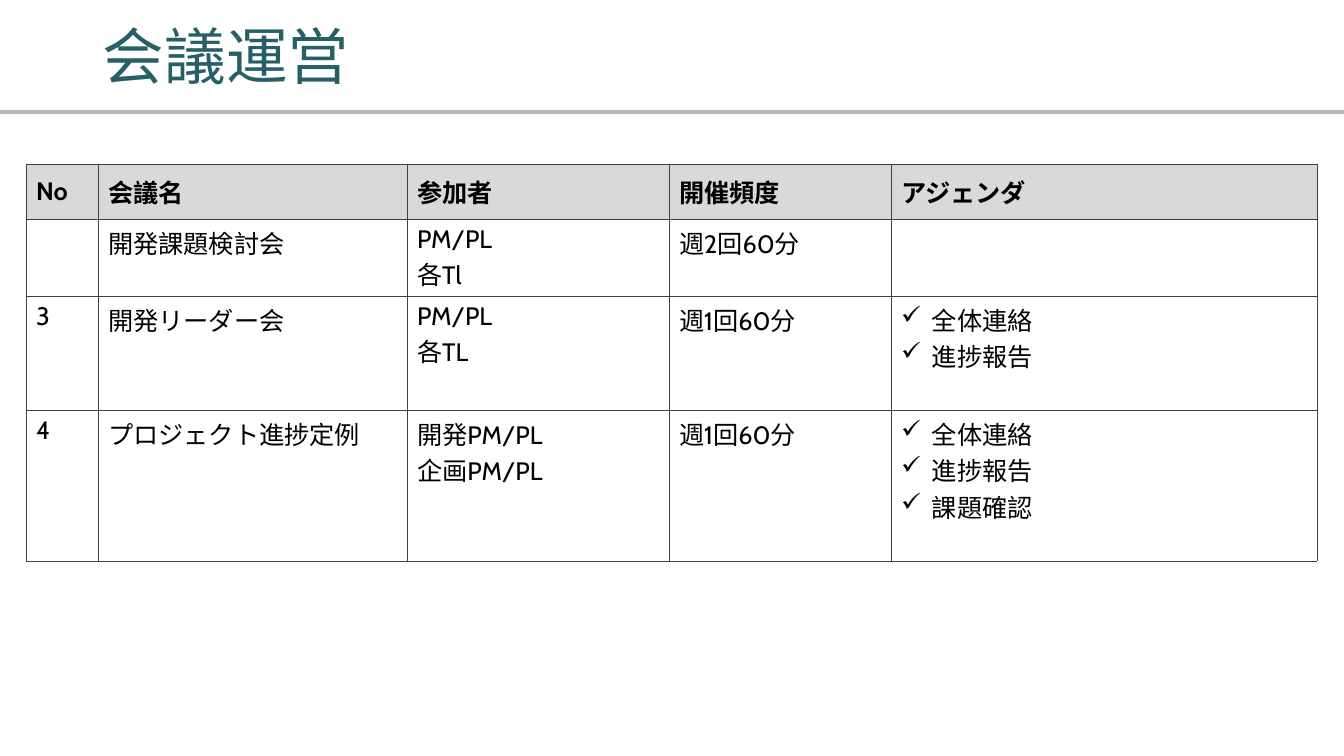
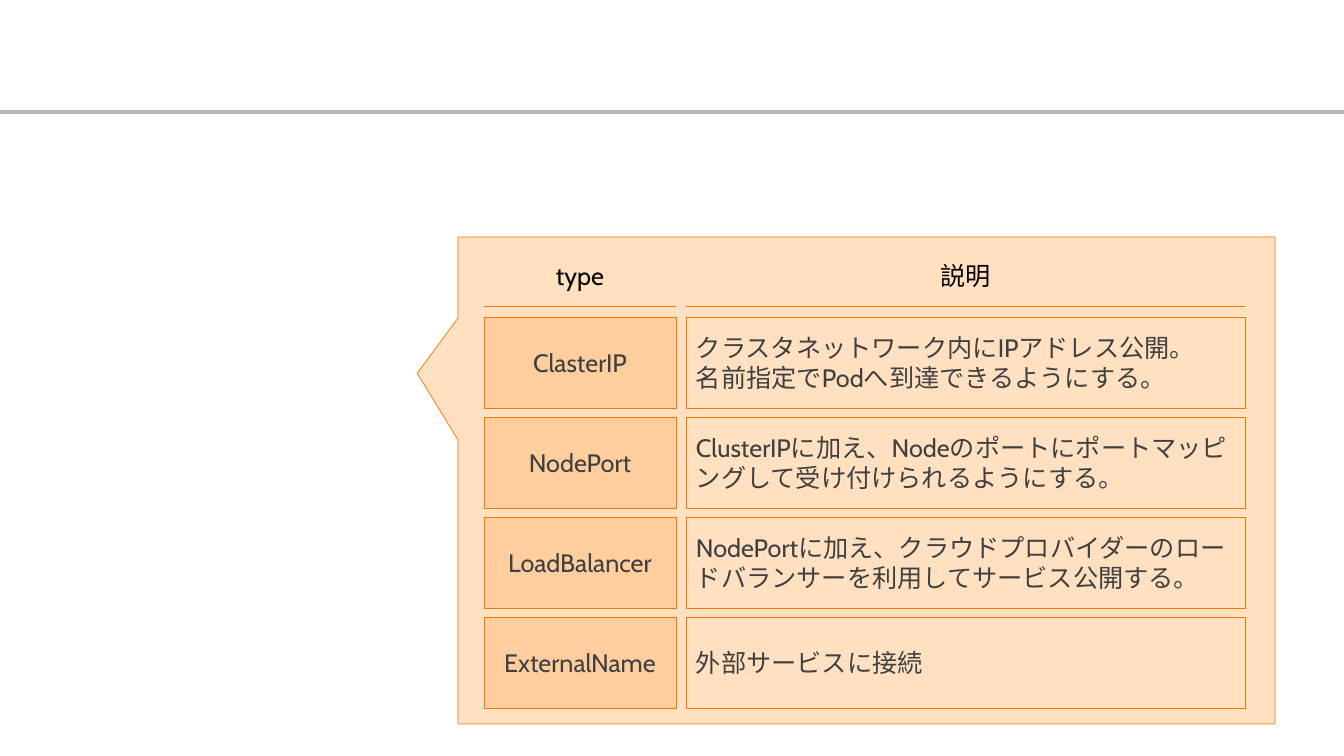
from lxml.etree import SubElement
from pptx import Presentation
from pptx.dml.color import RGBColor
from pptx.enum.shapes import MSO_CONNECTOR as Connector, MSO_SHAPE as Shape
from pptx.enum.text import MSO_ANCHOR as Anchor, PP_ALIGN as Align
from pptx.oxml.ns import qn
from pptx.util import Pt

PX = 9144000 / 1008  # EMU in one px, at 100.8 px to the inch
FONT = "Cabin"
COLORS = {
    "band": "AFBABB",
    "title": "266066",
    "black": "000000",
    "gray": "404040",
    "header": "D9D9D9",
    "white": "FFFFFF",
    "orange": "EE7800",
    "callout": "FFE0C1",
    "type": "FFCE9E",
}
COLORS = {name: RGBColor.from_string(value) for name, value in COLORS.items()}


def write(frame, text, size=18, color="black", bold=False, align=Align.LEFT,
          anchor=Anchor.TOP, spacing=None, bullet=None, east_asian=None):
    """Fill a text frame, one paragraph for each line of text."""
    frame.word_wrap = True
    frame.vertical_anchor = anchor
    for index, line in enumerate(text.split("\n")):
        para = frame.add_paragraph() if index else frame.paragraphs[0]
        para.alignment = align
        if spacing:
            para.line_spacing = spacing
        if bullet:
            props = para._p.get_or_add_pPr()
            indent = round(31 * PX)
            props.set("marL", str(indent))
            props.set("indent", str(-indent))
            SubElement(props, qn("a:buChar"), char=bullet)
        span = para.add_run()
        span.text = line
        span.font.size = Pt(size)
        span.font.bold = bold
        span.font.color.rgb = COLORS[color]
        span.font.name = FONT
        if east_asian:
            SubElement(span._r.get_or_add_rPr(), qn("a:ea"), typeface=east_asian)


def add_box(page, bounds, kind=Shape.RECTANGLE, fill=None, line=None, width=0.25):
    box = page.shapes.add_shape(kind, *[round(n * PX) for n in bounds])
    box.shadow.inherit = False
    if fill:
        box.fill.solid()
        box.fill.fore_color.rgb = COLORS[fill]
    else:
        box.fill.background()
    if line:
        box.line.color.rgb = COLORS[line]
        box.line.width = Pt(width)
    else:
        box.line.fill.background()
    return box


deck = Presentation()
deck.slide_width = round(1344 * PX)
deck.slide_height = round(756 * PX)
blank = deck.slide_layouts[6]
pages = [deck.slides.add_slide(blank) for _ in range(2)]
for page in pages:
    add_box(page, (0, 110, 1344, 4), fill="band")
meeting_page, service_page = pages

# Meetings
title = meeting_page.shapes.add_textbox(*[round(n * PX) for n in (93, 12, 1159, 95)])
write(title.text_frame, "会議運営", size=44, color="title", anchor=Anchor.MIDDLE, spacing=0.9)

MEETINGS = [
    ("No", "会議名", "参加者", "開催頻度", "アジェンダ"),
    ("", "開発課題検討会", "PM/PL\n各Tl", "週2回60分", ""),
    ("3", "開発リーダー会", "PM/PL\n各TL", "週1回60分", "全体連絡\n進捗報告"),
    ("4", "プロジェクト進捗定例", "開発PM/PL\n企画PM/PL", "週1回60分",
     "全体連絡\n進捗報告\n課題確認"),
]
COLUMN_WIDTHS = (72, 309, 262, 222, 426)
ROW_HEIGHTS = (55, 77, 114, 151)
AGENDA = len(COLUMN_WIDTHS) - 1

bounds = (26, 164, sum(COLUMN_WIDTHS), sum(ROW_HEIGHTS))
table = meeting_page.shapes.add_table(
    len(ROW_HEIGHTS), len(COLUMN_WIDTHS), *[round(n * PX) for n in bounds]).table
table.first_row = table.horz_banding = False
for column, width in zip(table.columns, COLUMN_WIDTHS):
    column.width = round(width * PX)
for row, height in zip(table.rows, ROW_HEIGHTS):
    row.height = round(height * PX)

for row_index, meeting in enumerate(MEETINGS):
    is_header = row_index == 0
    for column_index, text in enumerate(meeting):
        cell = table.cell(row_index, column_index)
        props = cell._tc.get_or_add_tcPr()
        for side in ("lnL", "lnR", "lnT", "lnB"):
            border = SubElement(props, qn(f"a:{side}"), w=str(Pt(0.25)))
            paint = SubElement(border, qn("a:solidFill"))
            SubElement(paint, qn("a:srgbClr"), val=str(COLORS["gray"]))
        cell.fill.solid()
        cell.fill.fore_color.rgb = COLORS["header" if is_header else "white"]
        if text:
            has_bullets = column_index == AGENDA and not is_header
            write(cell.text_frame, text, bold=is_header, bullet="✓" if has_bullets else None)
        cell.vertical_anchor = Anchor.MIDDLE if is_header else Anchor.TOP

# Service types
callout = add_box(service_page, (458, 237, 817, 487), Shape.RECTANGULAR_CALLOUT,
                  fill="callout", line="orange", width=0.5)
callout.adjustments[0] = -0.55
callout.adjustments[1] = -0.22

SERVICES = [
    ("ClasterIP", "クラスタネットワーク内にIPアドレス公開。\n名前指定でPodへ到達できるようにする。"),
    ("NodePort", "ClusterIPに加え、Nodeのポートにポートマッピングして受け付けられるようにする。"),
    ("LoadBalancer", "NodePortに加え、クラウドプロバイダーのロードバランサーを利用してサービス公開する。"),
    ("ExternalName", "外部サービスに接続"),
]
SERVICE_COLUMNS = [
    ("type", 484, 192, "type", Align.CENTER),
    ("説明", 686, 559, None, Align.LEFT),
]
FIRST_TOP, ROW_PITCH, BOX_HEIGHT, RULE_Y = 317, 100, 91, 306

for column_index, (heading, left, width, fill, align) in enumerate(SERVICE_COLUMNS):
    label = service_page.shapes.add_textbox(*[round(n * PX) for n in (left, 255, width, 40)])
    write(label.text_frame, heading, align=Align.CENTER, east_asian=FONT)
    ends = (left, RULE_Y, left + width, RULE_Y)
    rule = service_page.shapes.add_connector(Connector.STRAIGHT, *[round(n * PX) for n in ends])
    rule.line.color.rgb = COLORS["orange"]
    rule.line.width = Pt(0.5)
    SubElement(rule._element.spPr, qn("a:effectLst"))
    for row_index, service in enumerate(SERVICES):
        top = FIRST_TOP + row_index * ROW_PITCH
        box = add_box(service_page, (left, top, width, BOX_HEIGHT), fill=fill, line="orange")
        write(box.text_frame, service[column_index], color="gray", align=align,
              anchor=Anchor.MIDDLE, east_asian=FONT)

deck.save("out.pptx")
